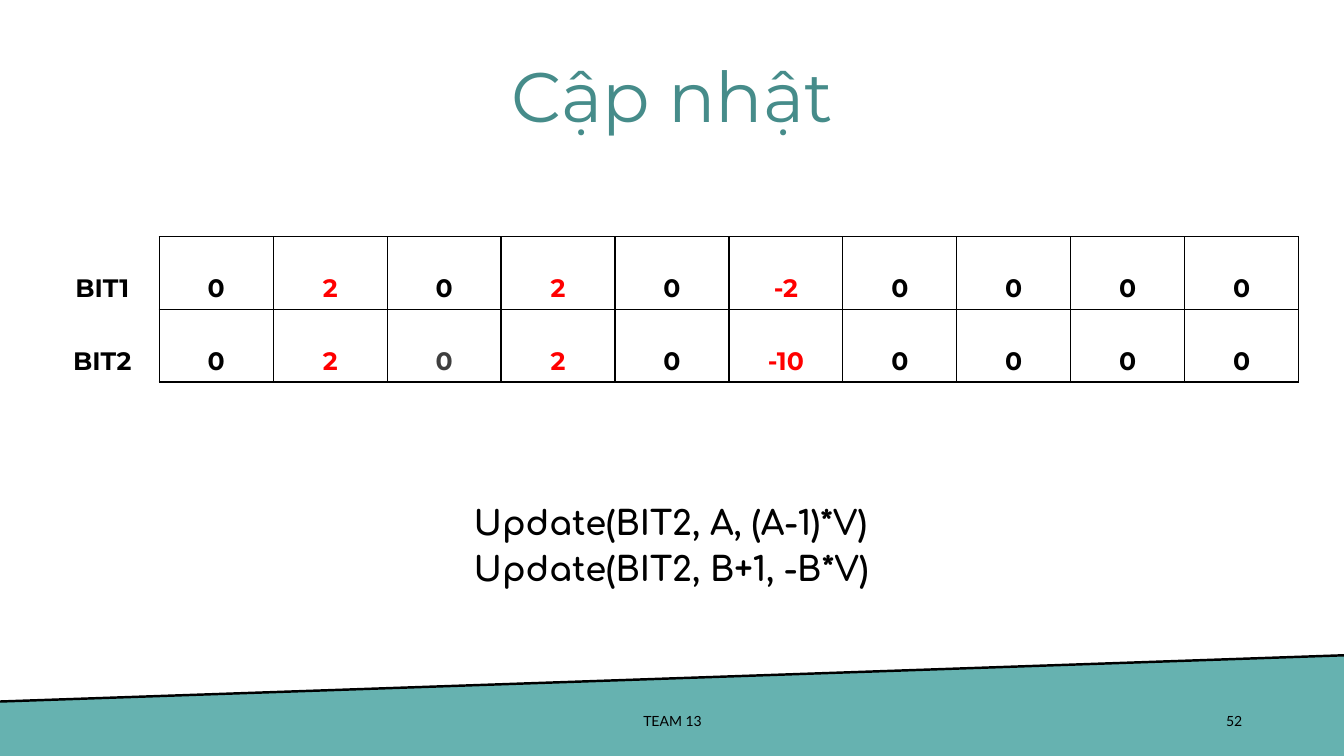
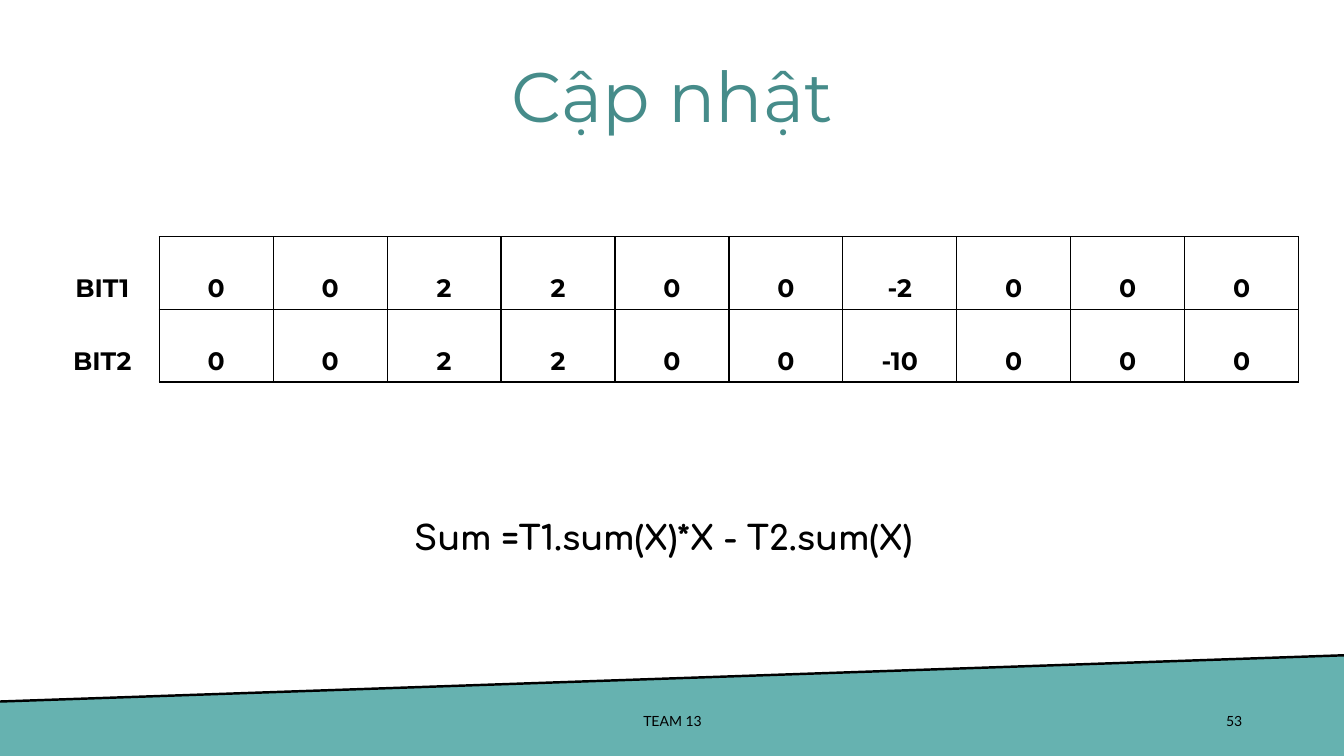
from lxml import etree
from pptx import Presentation
from pptx.dml.color import RGBColor
from pptx.enum import shapes, text
from pptx.oxml.ns import qn
from pptx.util import Inches, Pt

TEAL = RGBColor(0x66, 0xB2, 0xB0)
DARK_TEAL = RGBColor(0x46, 0x8C, 0x8A)
BLACK = RGBColor(0, 0, 0)
RED = RGBColor(0xFF, 0, 0)
GRAY = RGBColor(0x3F, 0x3F, 0x3F)

COLUMN_WIDTH, ROW_HEIGHT = Inches(1.13), Inches(0.72)

# Coloured cells are keyed by (row, column); column 0 holds the labels.
SLIDES = [
    {
        "number": "52",
        "rows": ["BIT1 0 2 0 2 0 -2 0 0 0 0", "BIT2 0 2 0 2 0 -10 0 0 0 0"],
        "colors": {**{(row, column): RED for row in (0, 1) for column in (2, 4, 6)},
                   (1, 3): GRAY},
        "formulas": [("Update(BIT2, A, (A-1)*V)", 1.0), ("Update(BIT2, B+1, -B*V)", 1.15)],
        "formula_box": (4.6, 4.88, 4.14, 1.47),
    },
    {
        "number": "53",
        "rows": ["BIT1 0 0 2 2 0 0 -2 0 0 0", "BIT2 0 0 2 2 0 0 -10 0 0 0"],
        "colors": {},
        "formulas": [("Sum =T1.sum(X)*X - T2.sum(X)", 1.15)],
        "formula_box": (4.01, 4.97, 5.32, 1.07),
    },
]


def write(para, content, font, size, color=BLACK, bold=False,
          align=text.PP_ALIGN.CENTER, spacing=1.0):
    """Add one formatted run and set the paragraph's alignment and spacing."""
    para.alignment = align
    para.line_spacing = spacing
    span = para.add_run()
    span.text = content
    span.font.name = font
    span.font.size = Pt(size)
    span.font.bold = bold
    span.font.color.rgb = color


def add_border(cell, sides):
    """Draw black 1 pt borders; sides must keep the order L, R, T, B."""
    properties = cell._tc.get_or_add_tcPr()
    for position, side in enumerate(sides):
        line = etree.Element(qn("a:ln" + side), w=str(Pt(1)))
        fill = etree.SubElement(line, qn("a:solidFill"))
        etree.SubElement(fill, qn("a:srgbClr"), val=str(BLACK))
        properties.insert(position, line)


deck = Presentation()
deck.slide_width, deck.slide_height = Inches(13.33), Inches(7.5)
layout = deck.slide_layouts.get_by_name("Title Only")
title = layout.placeholders[0]
title.left, title.top, title.width, title.height = map(Inches, (1.9, 0.48, 9.54, 1.03))

for index, content in enumerate(SLIDES):
    page = deck.slides.add_slide(layout)

    # The band and its edge are drawn once, then moved to the layout.
    if index == 0:
        builder = page.shapes.build_freeform(Inches(-0.01), Inches(6.96))
        corners = [(13.35, 6.5), (13.35, 7.5), (0, 7.53)]
        builder.add_line_segments([(Inches(x), Inches(y)) for x, y in corners])
        band = builder.convert_to_shape()
        band.shadow.inherit = False
        band.fill.solid()
        band.fill.fore_color.rgb = TEAL
        band.line.fill.background()

        edge = page.shapes.add_connector(
            shapes.MSO_CONNECTOR.STRAIGHT,
            Inches(13.35), Inches(6.5), Inches(-0.01), Inches(6.96))
        edge.line.color.rgb = BLACK
        edge.line.width = Pt(1.75)
        etree.SubElement(edge.element.spPr, qn("a:effectLst"))
        for shape in (band, edge):
            layout.shapes.element.append(shape.element)

    frame = page.shapes.title.text_frame
    frame.auto_size = text.MSO_AUTO_SIZE.NONE
    frame.vertical_anchor = text.MSO_ANCHOR.MIDDLE
    write(frame.paragraphs[0], "Cập nhật", "Montserrat", 50, DARK_TEAL, spacing=0.9)

    for label, left, width, align in [
        ("TEAM 13", 4.42, 4.5, text.PP_ALIGN.CENTER),
        (content["number"], 9.42, 3, text.PP_ALIGN.RIGHT),
    ]:
        box = page.shapes.add_textbox(Inches(left), Inches(6.95), Inches(width), Inches(0.4))
        box.text_frame.word_wrap = True
        box.text_frame.vertical_anchor = text.MSO_ANCHOR.MIDDLE
        write(box.text_frame.paragraphs[0], label, "Lato", 10, align=align)

    rows = [row.split() for row in content["rows"]]
    table = page.shapes.add_table(
        len(rows), len(rows[0]), Inches(0.45), Inches(2.35),
        COLUMN_WIDTH * len(rows[0]), ROW_HEIGHT * len(rows)).table
    table.first_row = table.horz_banding = False
    for table_column in table.columns:
        table_column.width = COLUMN_WIDTH
    for row, values in enumerate(rows):
        table.rows[row].height = ROW_HEIGHT
        for column, value in enumerate(values):
            cell = table.cell(row, column)
            is_label = column == 0
            cell.fill.background()
            cell.vertical_anchor = text.MSO_ANCHOR.MIDDLE
            cell.margin_left = cell.margin_right = Inches(0.1 if is_label else 0.07)
            cell.margin_top = cell.margin_bottom = Inches(0.05 if is_label else 0)
            add_border(cell, "R" if is_label else "LRTB")
            write(cell.text_frame.paragraphs[0], value, "Montserrat", 18,
                  content["colors"].get((row, column), BLACK), bold=True, spacing=2.0)

    box = page.shapes.add_textbox(*map(Inches, content["formula_box"]))
    frame = box.text_frame
    frame.word_wrap = True
    frame.margin_top = frame.margin_bottom = Inches(0.1)
    for line_number, (formula, spacing) in enumerate(content["formulas"]):
        para = frame.add_paragraph() if line_number else frame.paragraphs[0]
        write(para, formula, "Comfortaa", 24, bold=True,
              align=text.PP_ALIGN.LEFT, spacing=spacing)

deck.save("out.pptx")
